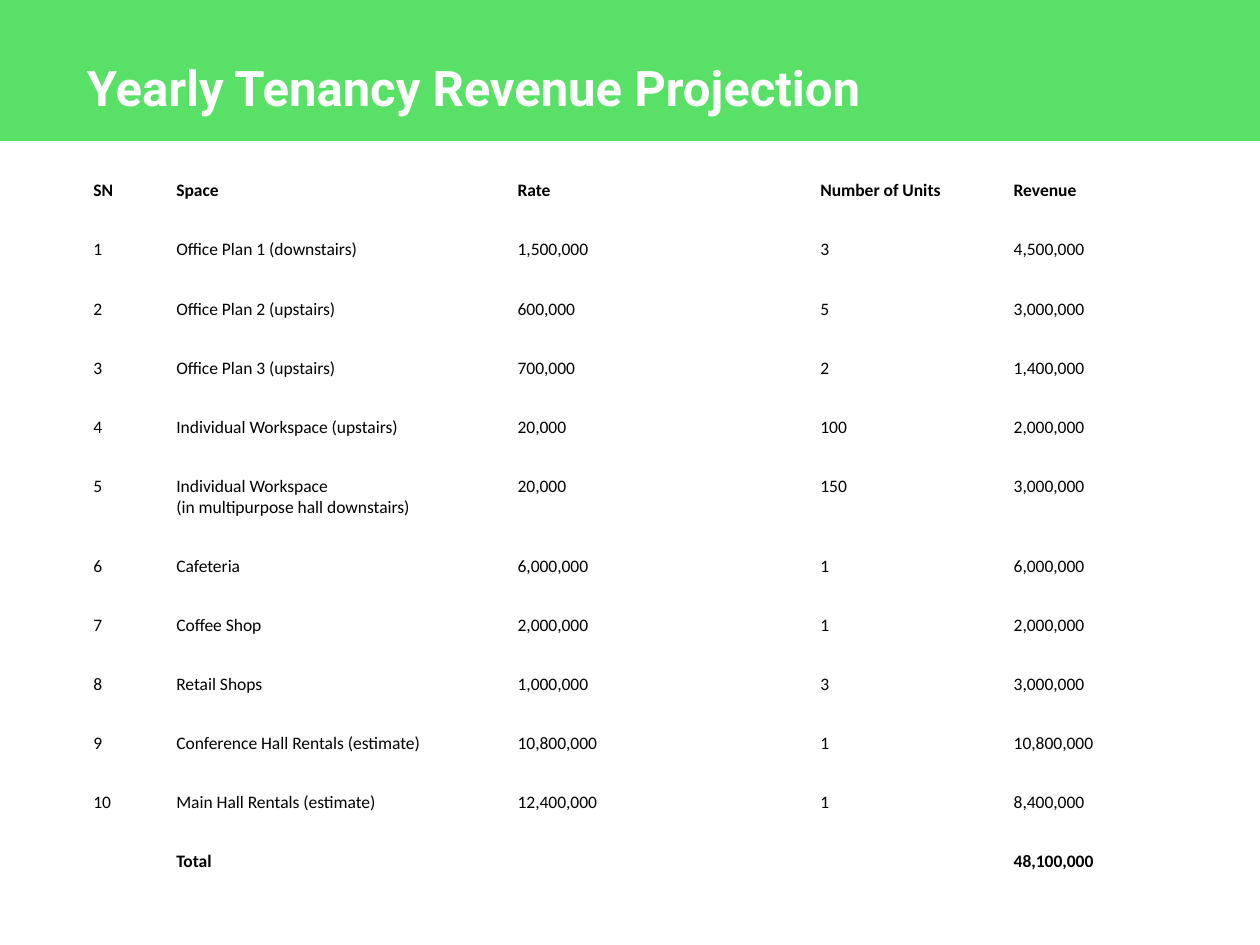
from pptx import Presentation
from pptx.dml.color import RGBColor
from pptx.enum.shapes import MSO_SHAPE
from pptx.enum.text import MSO_ANCHOR, MSO_AUTO_SIZE, PP_ALIGN
from pptx.util import Pt

RECTANGLE = MSO_SHAPE.RECTANGLE
TOP = MSO_ANCHOR.TOP
LEFT = PP_ALIGN.LEFT
NO_AUTOFIT = MSO_AUTO_SIZE.NONE
TITLE_ONLY = 5

TITLE = "Yearly Tenancy Revenue Projection"
ROWS = [
    ("SN", "Space", "Rate", "Number of Units", "Revenue"),
    ("1", "Office Plan 1 (downstairs)", "1,500,000", "3", "4,500,000"),
    ("2", "Office Plan 2 (upstairs)", "600,000", "5", "3,000,000"),
    ("3", "Office Plan 3 (upstairs)", "700,000", "2", "1,400,000"),
    ("4", "Individual Workspace (upstairs)", "20,000", "100", "2,000,000"),
    ("5", "Individual Workspace\v(in multipurpose hall downstairs)", "20,000", "150", "3,000,000"),
    ("6", "Cafeteria", "6,000,000", "1", "6,000,000"),
    ("7", "Coffee Shop", "2,000,000", "1", "2,000,000"),
    ("8", "Retail Shops", "1,000,000", "3", "3,000,000"),
    ("9", "Conference Hall Rentals (estimate)", "10,800,000", "1", "10,800,000"),
    ("10", "Main Hall Rentals (estimate)", "12,400,000", "1", "8,400,000"),
    ("", "Total", "", "", "48,100,000"),
]
COLUMN_WIDTHS = [47.5, 195, 173, 110.5, 110.5]
HEADER_HEIGHT, ROW_HEIGHT = 29.5, 31.7
MARGIN_LEFT, TABLE_TOP = 42.5, 92.2
CELL_INSET = 10.8

THEME = {
    "band": RGBColor(0x58, 0xE1, 0x66),
    "title": {"font": "Roboto", "size": 28, "color": RGBColor(0xFF, 0xFF, 0xFF), "bold": True},
    "cell": {"font": "Calibri", "size": 10, "color": RGBColor(0, 0, 0)},
}


def write(frame, text, font, size, color, bold=False):
    frame.word_wrap = True
    paragraph = frame.paragraphs[0]
    paragraph.text = text
    paragraph.alignment = LEFT
    for run in paragraph.runs:
        run.font.name = font
        run.font.size = Pt(size)
        run.font.color.rgb = color
        run.font.bold = bold


def add_heading(slide, width):
    title = slide.shapes.title
    title.left, title.top, title.width, title.height = Pt(MARGIN_LEFT), Pt(29.5), Pt(561.5), Pt(41)
    write(title.text_frame, TITLE, **THEME["title"])
    title.text_frame.auto_size = NO_AUTOFIT
    title.text_frame.vertical_anchor = TOP

    band = slide.shapes.add_shape(RECTANGLE, 0, 0, width, Pt(80.6))
    band.shadow.inherit = False
    band.fill.solid()
    band.fill.fore_color.rgb = THEME["band"]
    band.line.fill.background()
    title.element.addprevious(band.element)


def add_revenue_table(slide):
    height = HEADER_HEIGHT + ROW_HEIGHT * (len(ROWS) - 1)
    table = slide.shapes.add_table(
        len(ROWS), len(COLUMN_WIDTHS), Pt(MARGIN_LEFT), Pt(TABLE_TOP),
        Pt(sum(COLUMN_WIDTHS)), Pt(height),
    ).table
    table.first_row = False
    table.horz_banding = False
    for column, width in zip(table.columns, COLUMN_WIDTHS):
        column.width = Pt(width)
    for index, values in enumerate(ROWS):
        table.rows[index].height = Pt(ROW_HEIGHT if index else HEADER_HEIGHT)
        bold = index in (0, len(ROWS) - 1)
        for cell, text in zip(table.rows[index].cells, values):
            cell.fill.background()
            if text:
                cell.margin_left = cell.margin_right = Pt(CELL_INSET)
                cell.margin_top = cell.margin_bottom = Pt(CELL_INSET)
                write(cell.text_frame, text, bold=bold, **THEME["cell"])


def main():
    presentation = Presentation()
    presentation.slide_width, presentation.slide_height = Pt(720), Pt(540)
    slide = presentation.slides.add_slide(presentation.slide_layouts[TITLE_ONLY])
    add_heading(slide, presentation.slide_width)
    add_revenue_table(slide)
    presentation.save("out.pptx")


if __name__ == "__main__":
    main()
